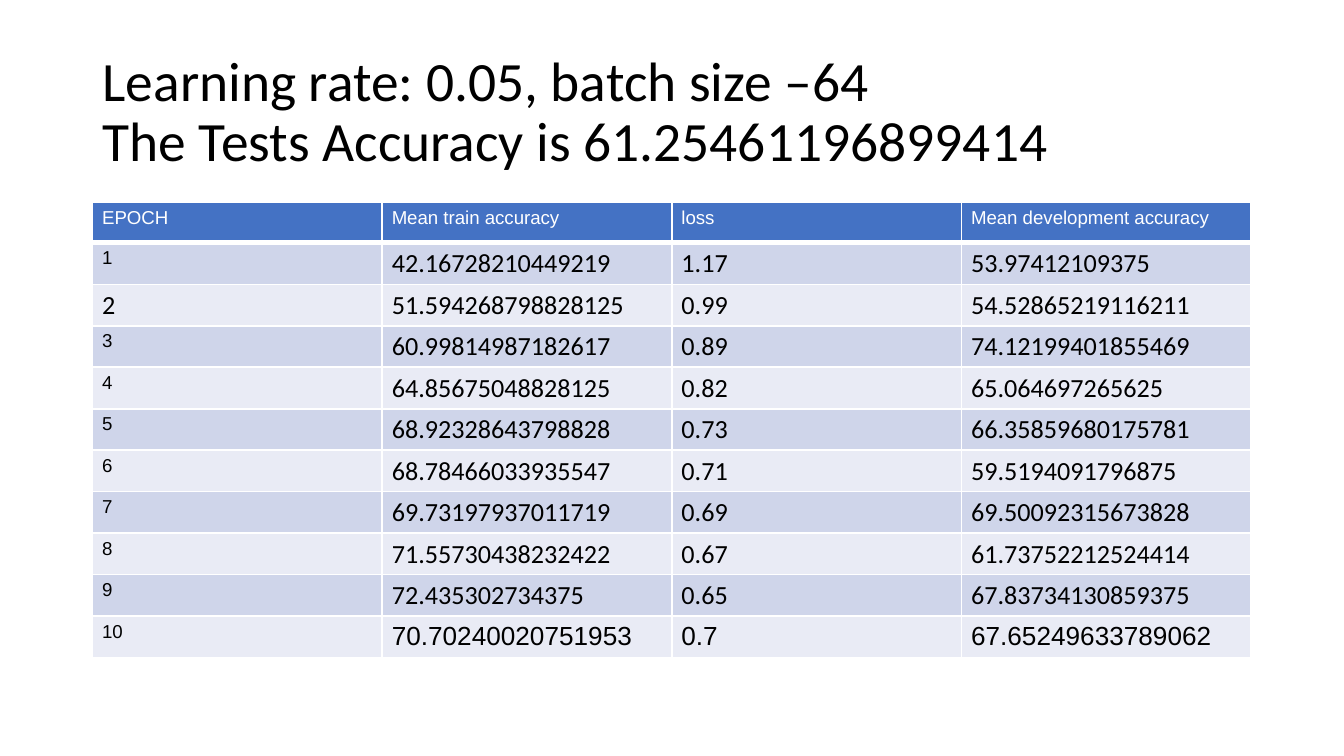
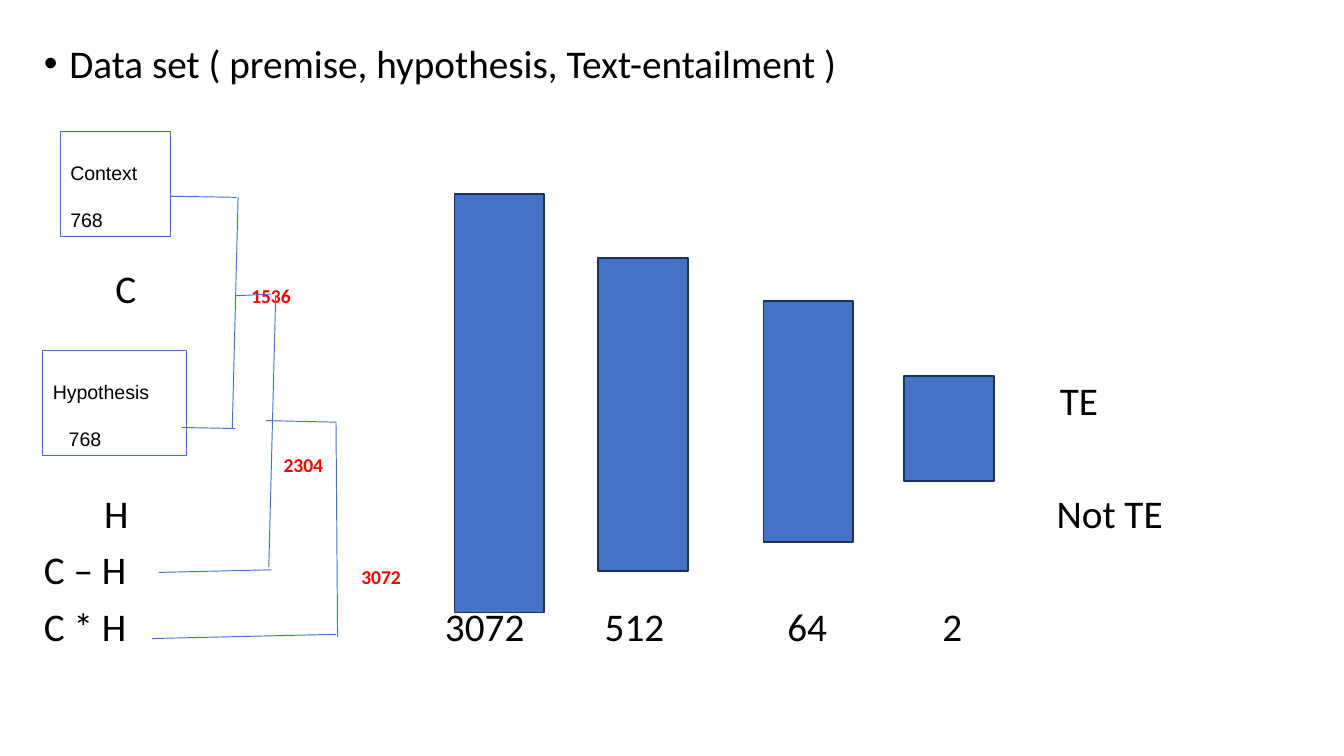
"""Build two slides: training results by epoch and the entailment network diagram."""
from pptx import Presentation
from pptx.dml.color import RGBColor as RGB
from pptx.enum.shapes import MSO_CONNECTOR as CONN, MSO_SHAPE as SHAPE
from pptx.enum.text import MSO_ANCHOR as ANCHOR, PP_ALIGN as ALIGN
from pptx.oxml.ns import qn
from pptx.util import Cm, Pt
from lxml.etree import SubElement

COLORS = {
    "text": "000000", "white": "FFFFFF", "blue": "4472C4", "edge": "1E3256",
    "red": "FF0000", "odd": "CFD5EA", "even": "E9EBF5",
}


def add_run(p, text, size, font="Calibri", color="text", bold=False):
    r = p.add_run()
    r.text = text
    r.font.size = Pt(size)
    r.font.name = font
    r.font.bold = bold
    r.font.color.rgb = RGB.from_string(COLORS[color])


def set_frame(tf, top=0.1, anchor=ANCHOR.TOP):
    tf.word_wrap = True
    tf.vertical_anchor = anchor
    tf.margin_left = tf.margin_right = Cm(0.19)
    tf.margin_top, tf.margin_bottom = Cm(top), Cm(0.1)


prs = Presentation()
prs.slide_width, prs.slide_height = Cm(25.4), Cm(14.29)
blank = prs.slide_layouts[6]

s = prs.slides.add_slide(blank)
tf = s.shapes.add_textbox(Cm(1.75), Cm(0.76), Cm(21.9), Cm(2.77)).text_frame
set_frame(tf, anchor=ANCHOR.MIDDLE)
title = ["Learning rate: 0.05, batch size –64", "The Tests Accuracy is 61.25461196899414"]
for i, text in enumerate(title):
    p = tf.add_paragraph() if i else tf.paragraphs[0]
    p.line_spacing = 0.9
    add_run(p, text, 29.7)

results = [
    ("EPOCH", "Mean train accuracy", "loss", "Mean development accuracy"),
    ("1", "42.16728210449219", "1.17", "53.97412109375"),
    ("2", "51.594268798828125", "0.99", "54.52865219116211"),
    ("3", "60.99814987182617", "0.89", "74.12199401855469"),
    ("4", "64.85675048828125", "0.82", "65.064697265625"),
    ("5", "68.92328643798828", "0.73", "66.35859680175781"),
    ("6", "68.78466033935547", "0.71", "59.5194091796875"),
    ("7", "69.73197937011719", "0.69", "69.50092315673828"),
    ("8", "71.55730438232422", "0.67", "61.73752212524414"),
    ("9", "72.435302734375", "0.65", "67.83734130859375"),
    ("10", "70.70240020751953", "0.7", "67.65249633789062"),
]
last = len(results) - 1
table = s.shapes.add_table(len(results), 4, Cm(1.75), Cm(3.82), Cm(21.9), Cm(8.4)).table
table.horz_banding = False
for i, values in enumerate(results):
    table.rows[i].height = Cm(0.77)
    fill = "blue" if i == 0 else "odd" if i % 2 else "even"
    for j, text in enumerate(values):
        cell = table.cell(i, j)
        cell.margin_left = cell.margin_right = Cm(0.18)
        cell.margin_top, cell.margin_bottom = Cm(0.1), Cm(0.09)
        tcPr = cell._tc.get_or_add_tcPr()
        for side in ("lnL", "lnR", "lnT", "lnB"):
            width = 3 if i == 0 and side == "lnB" else 1
            ln = SubElement(tcPr, qn(f"a:{side}"), w=str(Pt(width)))
            SubElement(SubElement(ln, qn("a:solidFill")), qn("a:srgbClr"), val=COLORS["white"])
        cell.fill.solid()
        cell.fill.fore_color.rgb = RGB.from_string(COLORS[fill])
        small = i == 0 or (j == 0 and text != "2")
        font = "Arial" if small or i == last else "Calibri"
        add_run(cell.text_frame.paragraphs[0], text, 10 if small else 14, font,
                "text" if i else "white")

s = prs.slides.add_slide(blank)
tf = s.shapes.add_textbox(Cm(0.64), Cm(0.74), Cm(23), Cm(12.12)).text_frame
set_frame(tf)
lines = [
    (0, [(0, "Data set ( premise, hypothesis, Text-entailment )")]),
    (98, [(1.35, "C"), (3.92, "1536")]),
    (37.6, [(19.2, "TE")]),
    (7.5, [(4.53, "2304")]),
    (7.5, [(1.14, "H"), (19.14, "Not TE")]),
    (7.5, [(0, "C – H"), (6, "3072")]),
    (7.5, [(0, "C * H"), (7.58, "3072"), (10.6, "512"), (14.05, "64"), (16.98, "2")]),
]
for i, (before, labels) in enumerate(lines):
    p = tf.add_paragraph() if i else tf.paragraphs[0]
    pPr = p._p.get_or_add_pPr()
    if i == 0:
        pPr.set("marL", str(Cm(0.48)))
        pPr.set("indent", str(-Cm(0.48)))
        SubElement(pPr, qn("a:buFont"), typeface="Arial")
        SubElement(pPr, qn("a:buChar"), char="•")
    else:
        SubElement(pPr, qn("a:buNone"))
        tabs = SubElement(pPr, qn("a:tabLst"))
        for x, text in labels:
            if x:
                SubElement(tabs, qn("a:tab"), pos=str(Cm(x)), algn="l")
    p.line_spacing = 0.9
    p.space_before = Pt(before)
    for x, text in labels:
        if x:
            add_run(p, "\t", 21)
        if text in ("1536", "2304") or (text == "3072" and x == 6):
            add_run(p, text, 10.5, color="red", bold=True)
        else:
            add_run(p, text, 21)

inputs = [("Context", 1.14, 2.49, 2.08, 0), ("Hypothesis", 0.81, 6.63, 2.72, 0.3)]
for name, x, y, width, indent in inputs:
    sp = s.shapes.add_shape(SHAPE.RECTANGLE, Cm(x), Cm(y), Cm(width), Cm(1.98))
    sp.shadow.inherit = False
    if name == "Context":
        sp.fill.solid()
        sp.fill.fore_color.rgb = RGB.from_string(COLORS["white"])
    else:
        sp.fill.background()
    sp.line.color.rgb = RGB.from_string(COLORS["blue"])
    sp.line.width = Pt(0.75)
    tf = sp.text_frame
    set_frame(tf, top=0.55)
    p = tf.paragraphs[0]
    p.alignment = ALIGN.LEFT
    add_run(p, name, 10.5, "Arial")
    p = tf.add_paragraph()
    p.alignment = ALIGN.LEFT
    p.space_before = Pt(12.6)
    p._p.get_or_add_pPr().set("marL", str(Cm(indent)))
    add_run(p, "768", 10.5, "Arial")

links = [
    (3.23, 3.71, 4.47, 3.73), (5.21, 5.59, 5.08, 10.72), (4.45, 5.59, 5.13, 5.56),
    (4.5, 3.73, 4.39, 8.1), (3.43, 8.08, 4.45, 8.1), (6.35, 7.98, 6.38, 12.04),
    (2.87, 12.07, 6.35, 11.99), (3, 10.82, 5.13, 10.77), (5.03, 7.95, 6.35, 7.98),
]
for ends in links:
    line = s.shapes.add_connector(CONN.STRAIGHT, *[Cm(v) for v in ends])
    line.line.color.rgb = RGB.from_string(COLORS["blue"])
    line.line.width = Pt(0.5)
    SubElement(line._element.spPr, qn("a:effectLst"))

layers = [(8.59, 3.66, 7.92), (11.3, 4.88, 5.92), (14.43, 5.69, 4.55), (17.09, 7.11, 1.98)]
for x, y, height in layers:
    sp = s.shapes.add_shape(SHAPE.RECTANGLE, Cm(x), Cm(y), Cm(1.7), Cm(height))
    sp.shadow.inherit = False
    sp.fill.solid()
    sp.fill.fore_color.rgb = RGB.from_string(COLORS["blue"])
    sp.line.color.rgb = RGB.from_string(COLORS["edge"])
    sp.line.width = Pt(1)

prs.save("out.pptx")
